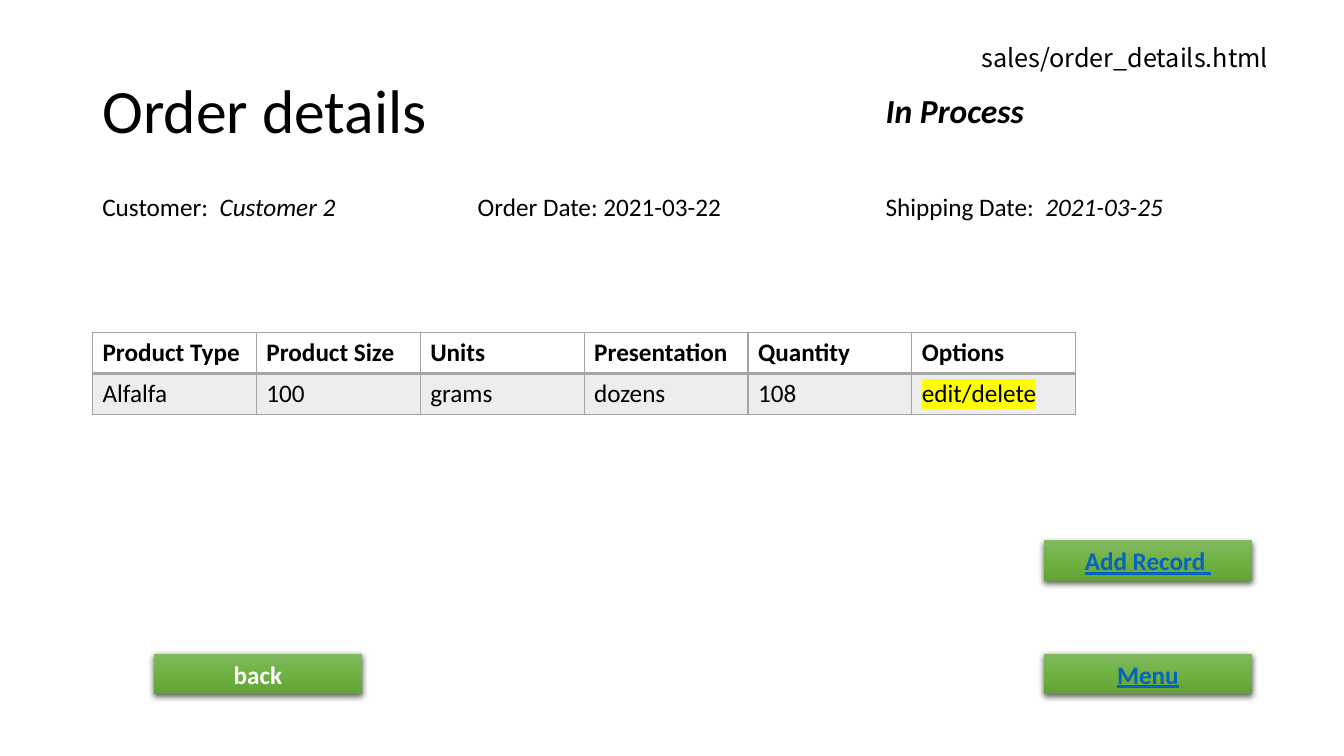
from lxml import etree
from pptx import Presentation
from pptx import util as u
from pptx.dml.color import RGBColor
from pptx.enum import shapes, text
from pptx.oxml import ns

BLACK, WHITE, LINK, GREY, YELLOW = "000000", "FFFFFF", "0563C1", "A5A5A5", "FFFF00"
GREENS = [(0, "81B861"), (50, "6FB242"), (100, "62A336")]
COLUMN_WIDTH, ROW_HEIGHT = u.Cm(4.13), u.Cm(1.03)
ORDER = [
    ["Product Type", "Product Size", "Units", "Presentation", "Quantity", "Options"],
    ["Alfalfa", "100", "grams", "dozens", "108", "edit/delete"],
]


def rgb(colour):
    return RGBColor.from_string(colour)


def sub(parent, tag, **attributes):
    return etree.SubElement(parent, ns.qn(tag), {k: str(v) for k, v in attributes.items()})


def add_run(paragraph, words, size=18, font="Calibri", colour=BLACK,
            bold=False, italic=False, underline=False, highlight=None):
    run = paragraph.add_run()
    run.text = words
    run.font.size, run.font.name = u.Pt(size), font
    run.font.bold, run.font.italic, run.font.underline = bold, italic, underline
    run.font.color.rgb = rgb(colour)
    if highlight:
        properties = run.font._element
        mark = sub(properties, "a:highlight")
        sub(mark, "a:srgbClr", val=highlight)
        properties.find(ns.qn("a:latin")).addprevious(mark)


def add_label(slide, left, top, width, height, words, value="", line_spacing=None,
              anchor=text.MSO_ANCHOR.TOP, **style):
    """A text box with an optional value in italics after its words."""
    frame = slide.shapes.add_textbox(u.Cm(left), u.Cm(top), u.Cm(width), u.Cm(height)).text_frame
    frame.word_wrap = True
    frame.vertical_anchor = anchor
    paragraph = frame.paragraphs[0]
    paragraph.line_spacing = line_spacing
    add_run(paragraph, words, **style)
    if value:
        add_run(paragraph, value, italic=True, **style)


def add_button(slide, left, top, words, **style):
    button = slide.shapes.add_shape(shapes.MSO_SHAPE.RECTANGLE, u.Cm(left), u.Cm(top),
                                    u.Cm(5.24), u.Cm(1.03))
    button.line.fill.background()
    button.shadow.inherit = False
    properties = button._element.spPr

    # Green gradient from top to bottom
    gradient = sub(properties, "a:gradFill", rotWithShape=1)
    stops = sub(gradient, "a:gsLst")
    for position, colour in GREENS:
        sub(sub(stops, "a:gs", pos=position * 1000), "a:srgbClr", val=colour)
    sub(gradient, "a:lin", ang=5400000, scaled=0)
    properties.find(ns.qn("a:prstGeom")).addnext(gradient)

    # Soft shadow below
    shadow = sub(properties.find(ns.qn("a:effectLst")), "a:outerShdw", blurRad=u.Pt(4.5),
                 dist=u.Pt(1.5), dir=5400000, algn="ctr", rotWithShape=0)
    sub(sub(shadow, "a:srgbClr", val=BLACK), "a:alpha", val=63000)

    paragraph = button.text_frame.paragraphs[0]
    paragraph.alignment = text.PP_ALIGN.CENTER
    add_run(paragraph, words, bold=True, **style)


def set_borders(cell, **widths):
    properties = cell._tc.get_or_add_tcPr()
    for index, side in enumerate("LRTB"):
        line = sub(properties, f"a:ln{side}", w=u.Pt(widths.get(side, 1)))
        sub(sub(line, "a:solidFill"), "a:srgbClr", val=GREY)
        properties.insert(index, line)


def add_order_table(slide, left, top):
    rows, columns = len(ORDER), len(ORDER[0])
    table = slide.shapes.add_table(rows, columns, u.Cm(left), u.Cm(top),
                                   COLUMN_WIDTH * columns, ROW_HEIGHT * rows).table
    table.horz_banding = False
    for column in table.columns:
        column.width = COLUMN_WIDTH
    for r, record in enumerate(ORDER):
        table.rows[r].height = ROW_HEIGHT
        for c, words in enumerate(record):
            cell = table.cell(r, c)
            if r == 0:
                cell.fill.background()
                set_borders(cell, B=2)
            else:
                cell.fill.solid()
                cell.fill.fore_color.rgb = rgb(GREY)
                tint = cell._tc.tcPr.find(".//" + ns.qn("a:srgbClr"))
                sub(tint, "a:alpha", val=20000)
                set_borders(cell, T=2)
            add_run(cell.text_frame.paragraphs[0], words, bold=r == 0,
                    highlight=YELLOW if words == "edit/delete" else None)


def main():
    prs = Presentation()
    prs.slide_width, prs.slide_height = u.Cm(33.87), u.Cm(19.05)
    slide = prs.slides.add_slide(prs.slide_layouts[6])

    # Heading, order status and page address
    add_label(slide, 2.33, 1.01, 29.21, 3.68, "Order details", size=44,
              line_spacing=0.9, anchor=text.MSO_ANCHOR.MIDDLE)
    add_label(slide, 22.07, 2.13, 9.47, 1.28, "In Process", size=24, bold=True, italic=True)
    add_label(slide, 24.49, 0.94, 8.25, 1.03, "sales/order_details.html",
              font="Noto Sans CJK SC")

    # Order facts
    for left, words, value in [(2.33, "Customer:  ", "Customer 2"),
                               (11.79, "Order Date: 2021-03-22", ""),
                               (22.07, "Shipping Date:  ", "2021-03-25")]:
        add_label(slide, left, 4.7, 9.47, 1.03, words, value)

    # Ordered products
    add_order_table(slide, 2.33, 8.38)

    # Navigation buttons
    add_button(slide, 26.31, 16.47, "Menu", colour=LINK, underline=True)
    add_button(slide, 26.31, 13.62, "Add Record ", colour=LINK, underline=True)
    add_button(slide, 3.88, 16.47, "back", colour=WHITE)

    prs.save("out.pptx")


if __name__ == "__main__":
    main()
